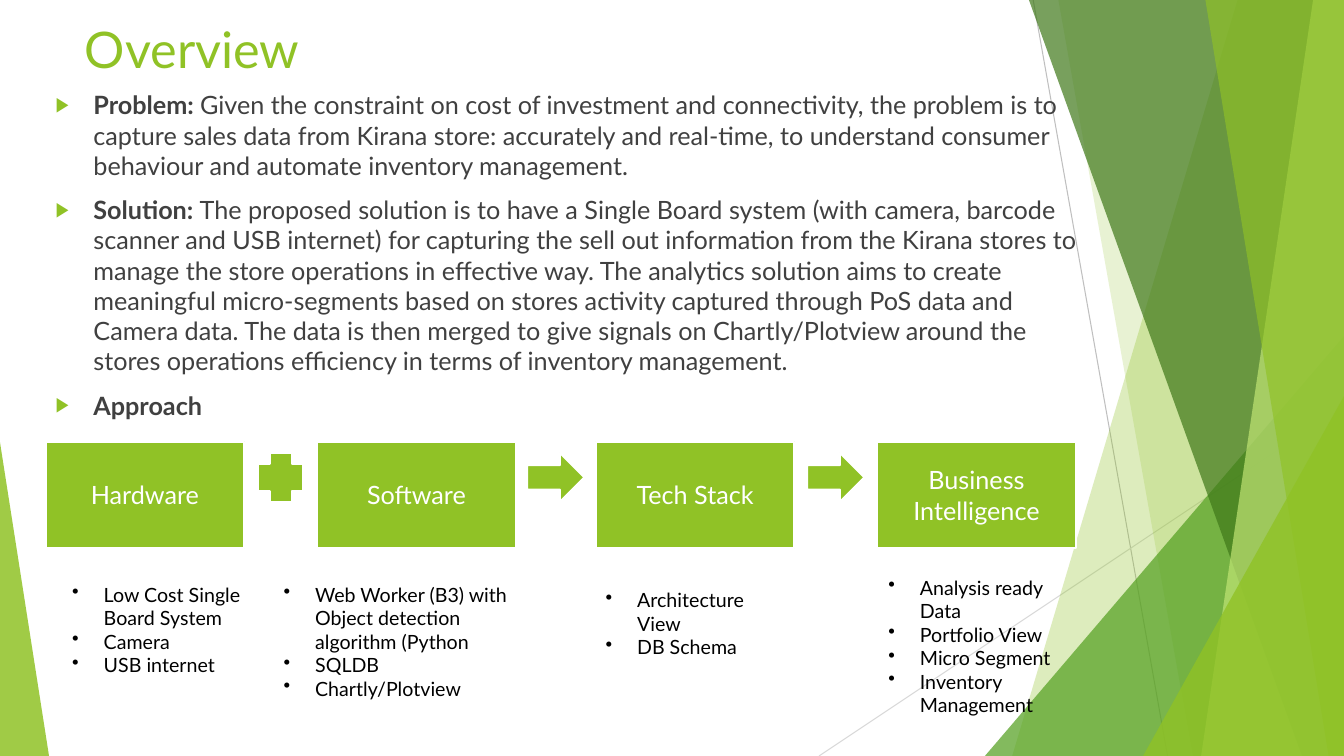
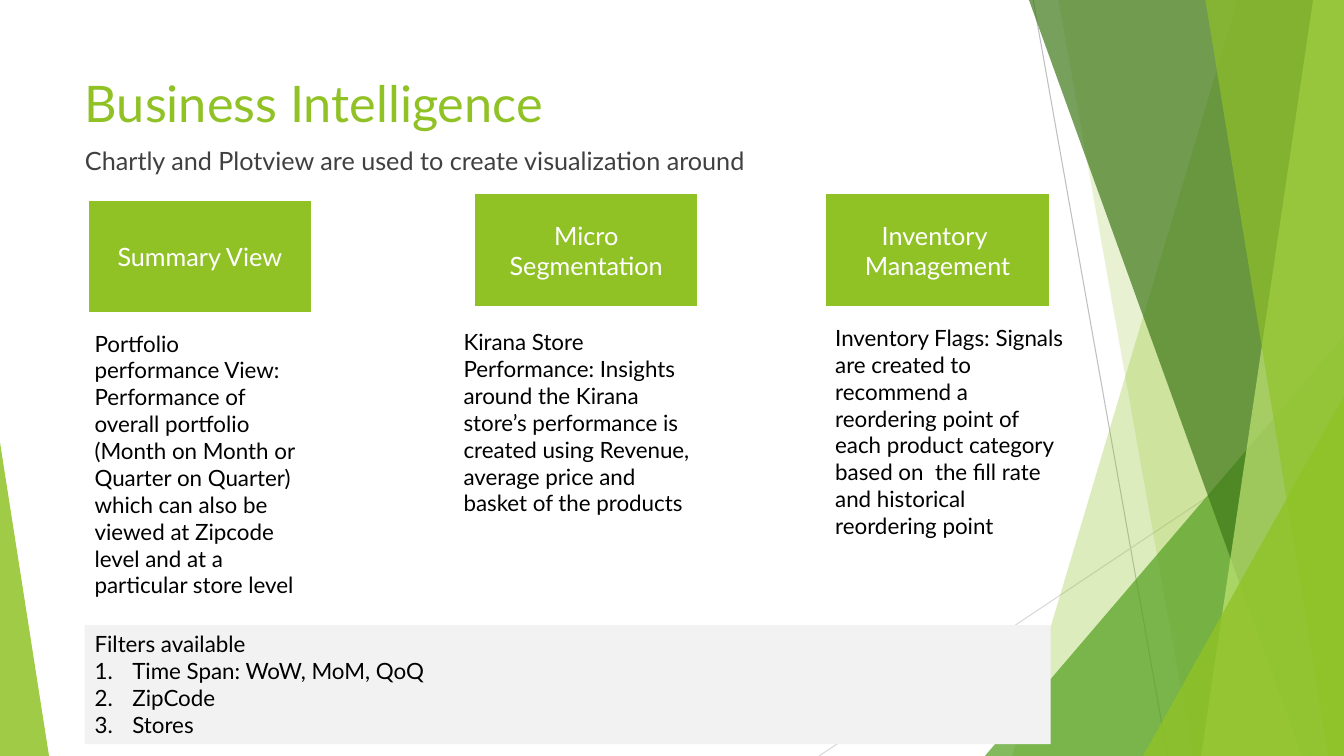
from dataclasses import dataclass
from typing import NamedTuple

from lxml.etree import SubElement
from pptx import Presentation
from pptx.dml.color import RGBColor
from pptx.enum.shapes import MSO_CONNECTOR as Link, MSO_SHAPE as Form
from pptx.enum.text import MSO_ANCHOR as Anchor, MSO_AUTO_SIZE as Fit, PP_ALIGN as Align
from pptx.oxml.ns import qn
from pptx.util import Pt


@dataclass(frozen=True)
class Theme:
    """Colours, font and type sizes of the deck."""
    font: str = "Lato"
    lime: str = "90C226"
    leaf: str = "54A021"
    forest: str = "3F7819"
    pale: str = "C0E474"
    text: str = "404040"
    black: str = "000000"
    white: str = "FFFFFF"
    panel: str = "F2F2F2"
    rule_dark: str = "BFBFBF"
    rule_light: str = "D9D9D9"
    title: int = 36
    body: int = 18
    note: int = 16
    small: int = 14


class Box(NamedTuple):
    """A rectangle measured in points."""
    left: float
    top: float
    width: float
    height: float

    def inner(self, left, top, width, height):
        """Return a box offset from this one's corner."""
        return Box(self.left + left, self.top + top, width, height)

    def lengths(self):
        """Return the four sides as lengths."""
        return [Pt(value) for value in self]


class Mark(NamedTuple):
    """A paragraph marker and its hanging indent."""
    tag: str
    values: dict
    indent: float = 0
    color: str = ""
    scale: int = 100


THEME = Theme()
SLIDE = Box(0, 0, 960, 540)
PLAIN = Mark("a:buNone", {})
DOT = Mark("a:buChar", {"char": "•"}, 22.5)
ARROW = Mark("a:buChar", {"char": "▶"}, 27, THEME.lime, 80)
NUMBER = Mark("a:buAutoNum", {"type": "arabicPeriod"}, 27)


def apply(target, values):
    """Set each named attribute on the target."""
    for name, value in values.items():
        setattr(target, name, value)


def add_mark(para, mark):
    """Give a paragraph its marker and hanging indent."""
    props = para._p.get_or_add_pPr()
    props.set("marL", str(Pt(mark.indent)))
    props.set("indent", str(-Pt(mark.indent)))
    if mark.color:
        SubElement(SubElement(props, qn("a:buClr")), qn("a:srgbClr"), val=mark.color)
        SubElement(props, qn("a:buSzPct"), val=str(mark.scale * 1000))
    SubElement(props, qn(mark.tag), mark.values)


def write(frame, lines, size, color, mark=PLAIN, align=Align.LEFT, anchor=Anchor.TOP, gap=0, heads=0):
    """Fill a frame; a line is a string or a (bold, regular) pair, the first heads are unmarked."""
    apply(frame, {"word_wrap": True, "auto_size": Fit.NONE, "vertical_anchor": anchor})
    for index, line in enumerate(lines):
        para = frame.paragraphs[0] if index == 0 else frame.add_paragraph()
        apply(para, {"alignment": align, "space_before": Pt(gap)})
        add_mark(para, PLAIN if index < heads else mark)
        bold, regular = ("", line) if isinstance(line, str) else line
        for words, weight in ((bold, True), (regular, False)):
            if words:
                span = para.add_run()
                span.text = words
                apply(span.font, {"name": THEME.font, "size": Pt(size), "bold": weight})
                span.font.color.rgb = RGBColor.from_string(color)


def paint(shape, color, border=None, opacity=100):
    """Give a shape a flat fill, an optional border and transparency."""
    shape.shadow.inherit = False
    shape.fill.solid()
    shape.fill.fore_color.rgb = RGBColor.from_string(color)
    if border:
        shape.line.color.rgb = RGBColor.from_string(border)
        shape.line.width = Pt(1.5)
    else:
        shape.line.fill.background()
    if opacity < 100:
        tint = shape.element.xpath("./p:spPr/a:solidFill/a:srgbClr")[0]
        SubElement(tint, qn("a:alpha"), val=str(opacity * 1000))
    return shape


def add_form(page, form, box, color=THEME.lime, border=THEME.white):
    """Draw a preset shape in its box."""
    return paint(page.shapes.add_shape(form, *box.lengths()), color, border)


def add_card(page, box, *lines):
    """Draw a green card with centred white text."""
    card = add_form(page, Form.RECTANGLE, box)
    write(card.text_frame, lines, THEME.body, THEME.white, align=Align.CENTER, anchor=Anchor.MIDDLE)


def add_text(page, box, lines, size, mark=PLAIN):
    """Add a wrapped black text box."""
    frame = page.shapes.add_textbox(*box.lengths()).text_frame
    write(frame, lines, size, THEME.black, mark)


def add_slab(page, top, bottom):
    """Draw a full-height facet from its slanted left edge to the right border."""
    builder = page.shapes.build_freeform(Pt(top), 0)
    corners = ((SLIDE.width, 0), (SLIDE.width, SLIDE.height), (bottom, SLIDE.height))
    builder.add_line_segments([(Pt(x), Pt(y)) for x, y in corners])
    return builder.convert_to_shape()


def add_wedge(page, left, top, width, apex):
    """Draw a right-angled triangle standing on the bottom edge."""
    box = Box(left, top, width, SLIDE.height - top)
    wedge = page.shapes.add_shape(Form.ISOSCELES_TRIANGLE, *box.lengths())
    wedge.adjustments[0] = apex
    return wedge


def decorate(page):
    """Draw the facets and move them to the layout behind every slide."""
    backdrop = []
    for ends, color in (((738, 0, 834, 540), THEME.rule_dark), ((960, 290, 585, 540), THEME.rule_light)):
        rule = page.shapes.add_connector(Link.STRAIGHT, *[Pt(end) for end in ends])
        rule.line.color.rgb = RGBColor.from_string(color)
        rule.line.width = Pt(0.75)
        SubElement(rule.element.spPr, qn("a:effectLst"))
        backdrop.append(rule)
    facets = (
        (add_slab, (884, 723), THEME.lime, 30),
        (add_slab, (756, 852), THEME.lime, 20),
        (add_wedge, (703.5, 240, 256.5, 1), THEME.leaf, 72),
        (add_slab, (735, 930), THEME.forest, 70),
        (add_slab, (938, 858), THEME.pale, 70),
        (add_slab, (861, 949), THEME.lime, 65),
        (add_wedge, (816.5, 283, 143.5, 1), THEME.lime, 80),
        (add_wedge, (0, 316, 35, 0), THEME.lime, 85),
    )
    for draw, place, color, opacity in facets:
        backdrop.append(paint(draw(page, *place), color, opacity=opacity))
    tree = page.slide_layout.shapes.element
    for index, shape in enumerate(backdrop, start=2):
        tree.insert(index, shape.element)


def add_heading(page, title, top, body_box, lines, mark):
    """Place the title and body placeholders."""
    body = page.placeholders[1]
    for holder, box in ((page.shapes.title, Box(53.5, top, 677, 104)), (body, body_box)):
        apply(holder, dict(zip(("left", "top", "width", "height"), box.lengths())))
    write(page.shapes.title.text_frame, [title], THEME.title, THEME.lime)
    write(body.text_frame, lines, THEME.body, THEME.text, mark, gap=10)


def add_approach(page, region):
    """Lay out the four steps, the signs between them and their lists."""
    width, height = 142, 76
    steps = (
        (0, "Hardware", (12, 97, 142),
         ("Low Cost Single Board System", "Camera", "USB internet")),
        (194, "Software", (-31, 97, 181),
         ("Web Worker (B3) with Object detection algorithm (Python", "SQLDB", "Chartly/Plotview")),
        (393, "Tech Stack", (0, 101, 142), ("Architecture View", "DB Schema")),
        (594, "Business Intelligence", (1, 92, 142),
         ("Analysis ready Data", "Portfolio View", "Micro Segment", "Inventory Management")),
    )
    for left, name, (shift, drop, span), items in steps:
        card = region.inner(left, 0, width, height)
        add_card(page, card, name)
        add_text(page, card.inner(shift, drop, span, 92), items, THEME.small, DOT)
    signs = ((Form.CROSS, 32), (Form.RIGHT_ARROW, 41), (Form.RIGHT_ARROW, 41))
    for before, after, (form, size) in zip(steps, steps[1:], signs):
        middle = (before[0] + width + after[0]) / 2
        add_form(page, form, region.inner(middle - size / 2, 8, size, 35))


def add_views(page, region):
    """Lay out the three views with a card and a description each."""
    views = (
        ((2, 4.5), ("Summary View",), (0, 94, 163.5),
         "Portfolio performance View: Performance of overall portfolio (Month on Month or Quarter "
         "on Quarter) which can also be viewed at Zipcode level and at a particular store level "),
        ((278, 0), ("Micro Segmentation",), (263.5, 93, 176),
         "Kirana Store Performance: Insights around the Kirana store’s performance is created "
         "using Revenue, average price and basket of the products"),
        ((529, 0), ("Inventory ", "Management"), (529, 90, 181),
         "Inventory Flags: Signals are created to recommend a reordering point of each product "
         "category based on  the fill rate and historical reordering point "),
    )
    for corner, name, (left, top, width), words in views:
        add_card(page, region.inner(*corner, 160.5, 81.5), *name)
        add_text(page, region.inner(left, top, width, 200), [words], THEME.note)


def add_filters(page, box):
    """Draw the grey panel with the numbered filters."""
    panel = add_form(page, Form.RECTANGLE, box, THEME.panel, None)
    lines = ("Filters available", "Time Span: WoW, MoM, QoQ", "ZipCode", "Stores")
    write(panel.text_frame, lines, THEME.note, THEME.black, NUMBER, heads=1)


def build_overview(page):
    """Build the slide on problem, solution and approach."""
    lines = (
        ("Problem: ", "Given the constraint on cost of investment and connectivity, the problem is to "
         "capture sales data from Kirana store: accurately and real-time, to understand consumer "
         "behaviour and automate inventory management. "),
        ("Solution: ", "The proposed solution is to have a Single Board system (with camera, barcode "
         "scanner and USB internet) for capturing the sell out information from the Kirana stores to "
         "manage the store operations in effective way. The analytics solution aims to create "
         "meaningful micro-segments based on stores activity captured through PoS data and Camera "
         "data. The data is then merged to give signals on Chartly/Plotview around the stores "
         "operations efficiency in terms of inventory management."),
        ("Approach", ""),
    )
    add_heading(page, "Overview", 9.5, Box(32.5, 60.5, 758, 471.5), lines, ARROW)
    add_approach(page, Box(32.5, 315.5, 736, 200))


def build_intelligence(page):
    """Build the slide on the views and their filters."""
    lines = ["Chartly and Plotview are used to create visualization around"]
    add_heading(page, "Business Intelligence", 48, Box(53.5, 100, 677, 191), lines, PLAIN)
    add_filters(page, Box(60.5, 446.5, 690, 85))
    add_views(page, Box(60.5, 138, 710, 300))


def main():
    """Build and save the deck."""
    deck = Presentation()
    apply(deck, {"slide_width": Pt(SLIDE.width), "slide_height": Pt(SLIDE.height)})
    layout = deck.slide_layouts[1]
    pages = [deck.slides.add_slide(layout) for _ in range(2)]
    decorate(pages[0])
    for build, page in zip((build_overview, build_intelligence), pages):
        build(page)
    deck.save("out.pptx")


main()
